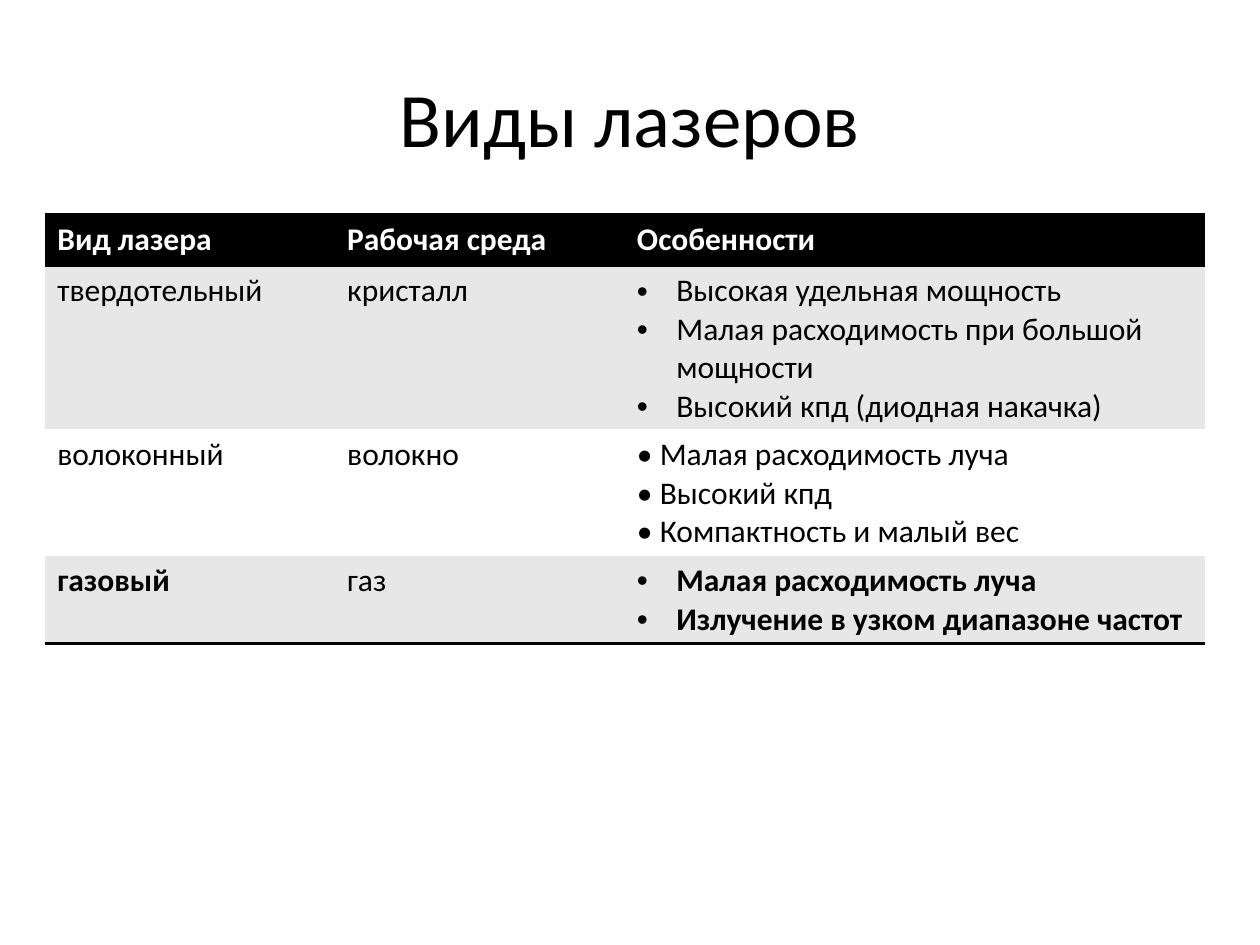
from lxml.etree import SubElement
from pptx import Presentation
from pptx.dml.color import RGBColor
from pptx.enum.text import MSO_ANCHOR, PP_ALIGN
from pptx.oxml.ns import qn
from pptx.util import Pt

HUES = {"ink": "000000", "paper": "FFFFFF", "band": "E7E7E7"}
WIDTHS = [165.6, 165.6, 331.9]
ROW = 29.4
INDENT = 22.5

HEAD = ["Вид лазера", "Рабочая среда", "Особенности"]
# Kind, medium, features, list style, bold columns
LASERS = [
    ("твердотельный", "кристалл",
     ["Высокая удельная мощность",
      "Малая расходимость при большой мощности",
      "Высокий кпд (диодная накачка)"], "bullets", ()),
    ("волоконный", "волокно",
     ["• Малая расходимость луча",
      "• Высокий кпд",
      "• Компактность и малый вес"], "breaks", ()),
    ("газовый", "газ",
     ["Малая расходимость луча",
      "Излучение в узком диапазоне частот"], "bullets", (0, 2)),
]


def add_run(par, text, size=18, hue="ink", bold=False):
    run = par.add_run()
    run.text = text
    form = {"name": "Calibri", "size": Pt(size), "bold": bold}
    for key, val in form.items():
        setattr(run.font, key, val)
    run.font.color.rgb = RGBColor.from_string(HUES[hue])


def add_title(slide, text):
    box = slide.shapes.add_textbox(Pt(36), Pt(21.6), Pt(648), Pt(90))
    frame = box.text_frame
    form = {"word_wrap": True, "vertical_anchor": MSO_ANCHOR.MIDDLE}
    for key, val in form.items():
        setattr(frame, key, val)
    par = frame.paragraphs[0]
    par.alignment = PP_ALIGN.CENTER
    add_run(par, text, 44)


def add_bullet(par):
    props = par._p.get_or_add_pPr()
    props.set("marL", str(Pt(INDENT)))
    props.set("indent", str(-Pt(INDENT)))
    SubElement(props, qn("a:buFont"), typeface="Arial")
    SubElement(props, qn("a:buChar"), char="•")


def fill_cell(cell, hue, edges=()):
    props = cell._tc.get_or_add_tcPr()
    # Borders must come before the fill
    for side in ("lnL", "lnR", "lnT", "lnB"):
        if side in edges:
            line = SubElement(props, qn("a:" + side), w=str(Pt(2)))
            fill = SubElement(line, qn("a:solidFill"))
            SubElement(fill, qn("a:srgbClr"), val=HUES["ink"])
        else:
            line = SubElement(props, qn("a:" + side), w="0")
            SubElement(line, qn("a:noFill"))
    cell.fill.solid()
    cell.fill.fore_color.rgb = RGBColor.from_string(HUES[hue])


def add_list(cell, items, style, bold):
    frame = cell.text_frame
    par = frame.paragraphs[0]
    for num, item in enumerate(items):
        if num and style == "breaks":
            par.add_line_break()
        elif num:
            par = frame.add_paragraph()
        if style == "bullets":
            add_bullet(par)
        add_run(par, item, bold=bold)


def add_grid(slide):
    count = len(LASERS) + 1
    shape = slide.shapes.add_table(count, len(WIDTHS), Pt(25.6), Pt(122.4),
                                   Pt(sum(WIDTHS)), Pt(ROW * count))
    table = shape.table
    for col, width in zip(table.columns, WIDTHS):
        col.width = Pt(width)

    # Header row
    for col, text in enumerate(HEAD):
        cell = table.cell(0, col)
        fill_cell(cell, "ink", ("lnT", "lnB"))
        add_run(cell.text_frame.paragraphs[0], text, hue="paper", bold=True)

    # One row for each laser
    for row, (kind, medium, traits, style, strong) in enumerate(LASERS, 1):
        edges = ("lnB",) if row == len(LASERS) else ()
        if row == 1:
            edges += ("lnT",)
        for col, items in enumerate(([kind], [medium], traits)):
            cell = table.cell(row, col)
            fill_cell(cell, "band" if row % 2 else "paper", edges)
            add_list(cell, items, style if col == 2 else "plain",
                     col in strong)


def main():
    deck = Presentation()
    deck.slide_width, deck.slide_height = Pt(720), Pt(540)
    slide = deck.slides.add_slide(deck.slide_layouts[6])
    add_title(slide, "Виды лазеров")
    add_grid(slide)
    deck.save("out.pptx")


if __name__ == "__main__":
    main()
